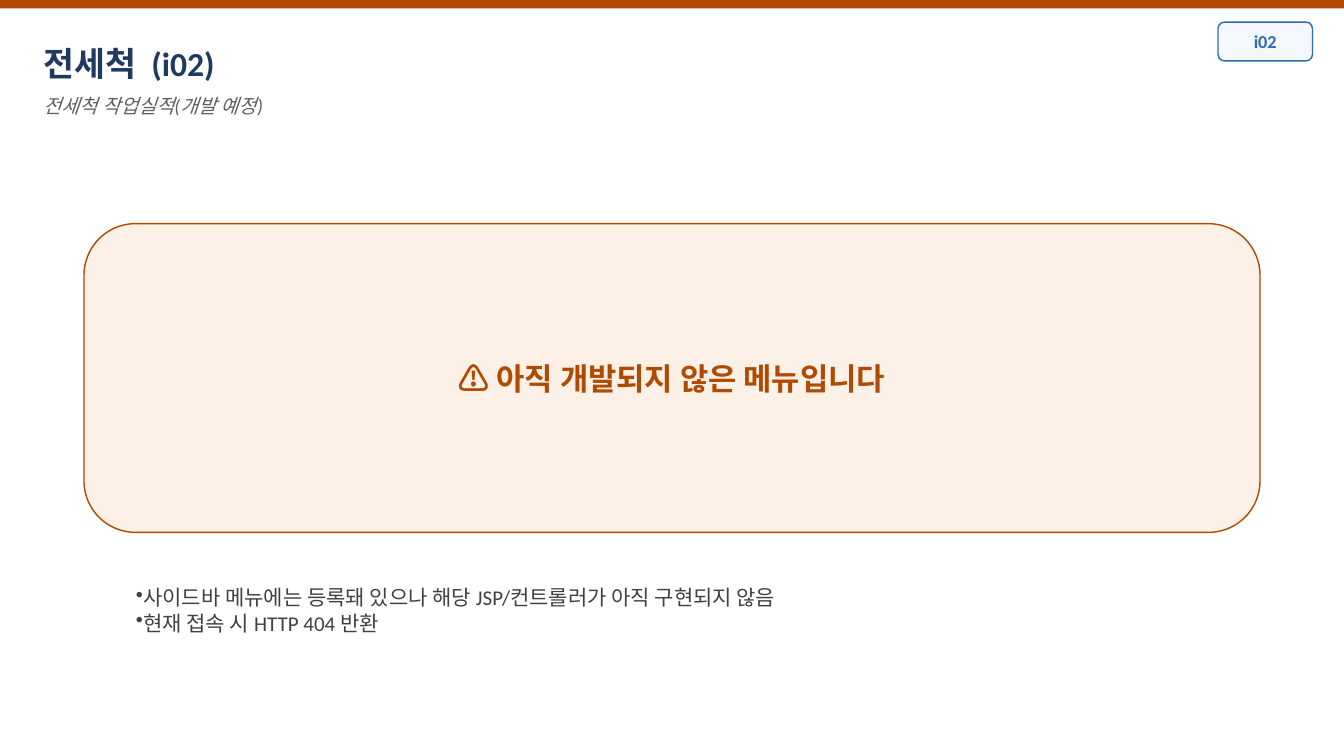
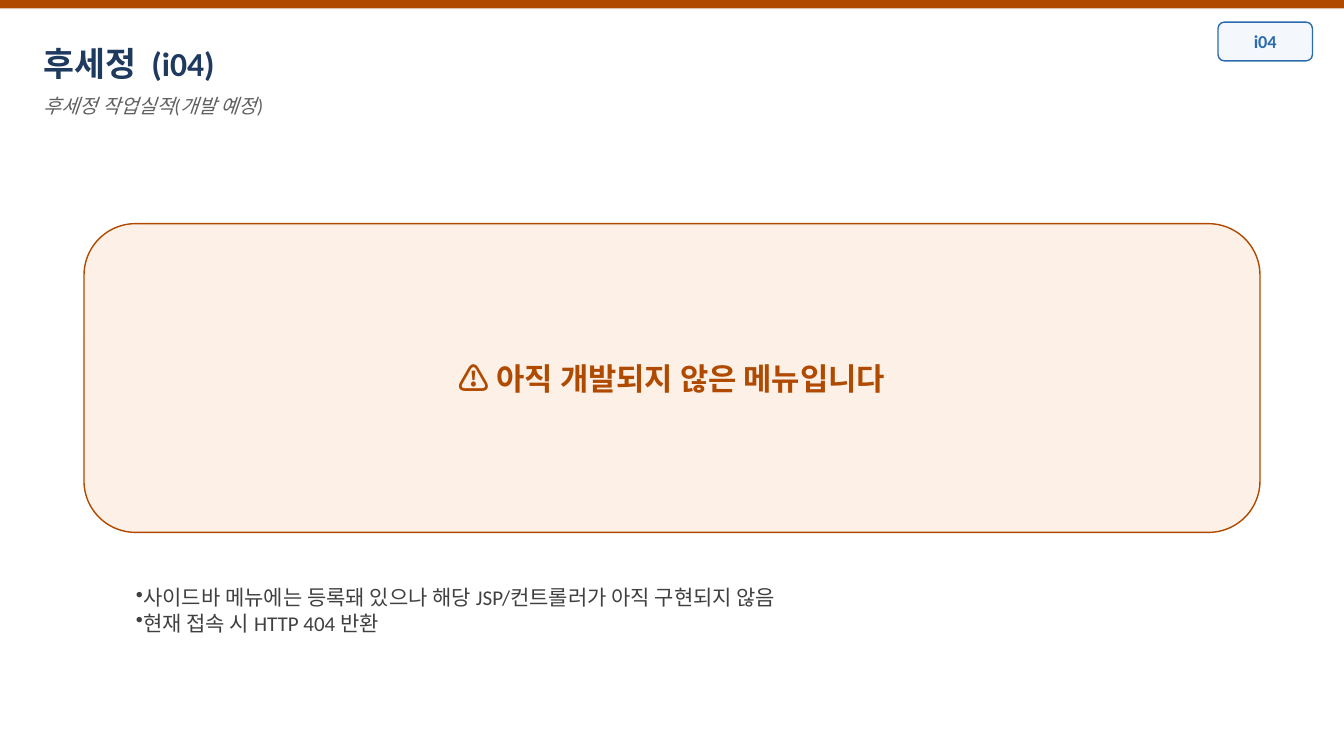
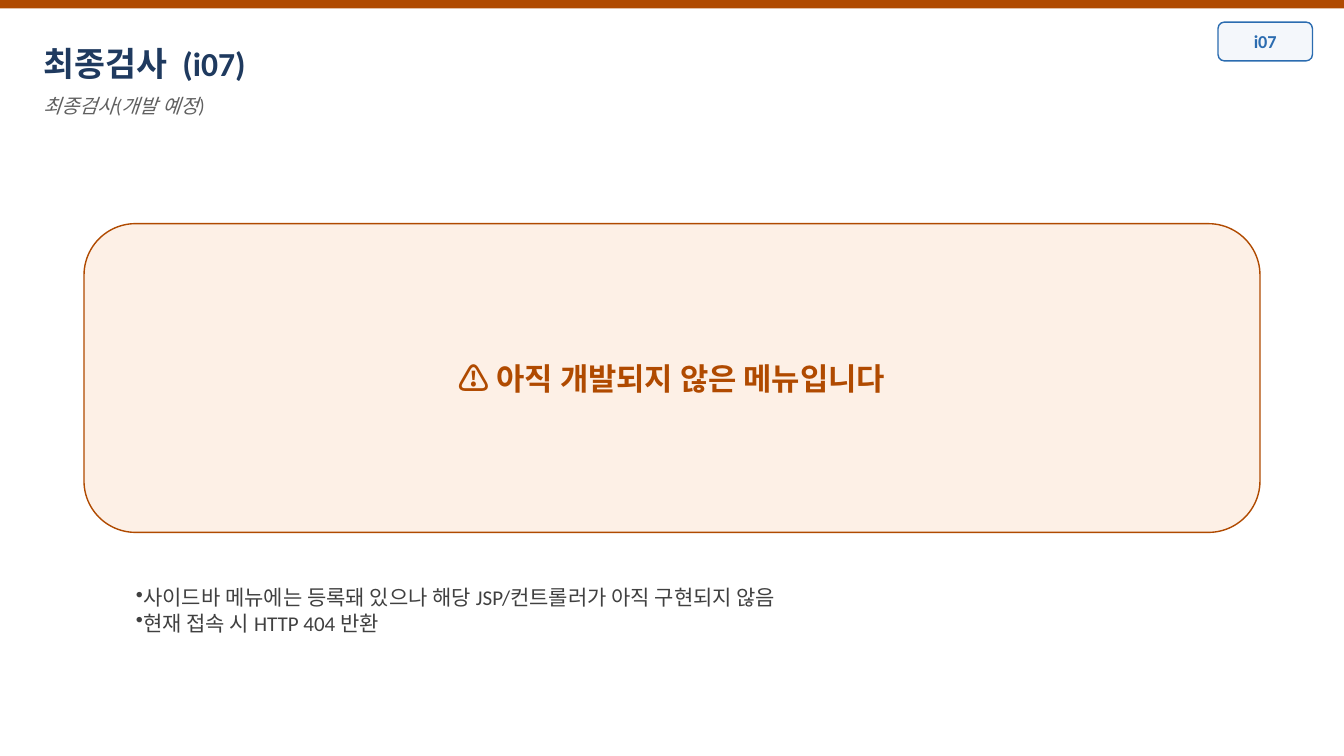
from lxml.etree import SubElement
from pptx import Presentation
from pptx.dml.color import RGBColor
from pptx.enum.shapes import MSO_SHAPE
from pptx.enum.text import MSO_ANCHOR, PP_ALIGN
from pptx.oxml.ns import qn
from pptx.util import Emu, Pt

EMU_PER_PX = 9525
WIDTH, HEIGHT = 1280, 720
FONT = "Calibri"
ACCENT, ACCENT_PALE = "B04A00", "FDF0E6"
NAVY, BLUE, BLUE_PALE = "1F3A5F", "2B6CB0", "F4F7FB"
SUBTITLE_GRAY, BODY_GRAY = "606060", "404040"
TEXT_TOP_INSET = 23
TITLE_GAP = 540  # extra width after the space, in hundredths of a point

NOTICE = "⚠ 아직 개발되지 않은 메뉴입니다"
DETAILS = [
    "사이드바 메뉴에는 등록돼 있으나 해당 JSP/컨트롤러가 아직 구현되지 않음",
    "현재 접속 시 HTTP 404 반환",
]
MENUS = [
    ("전세척", "i02", "전세척 작업실적(개발 예정)"),
    ("후세정", "i04", "후세정 작업실적(개발 예정)"),
    ("최종검사", "i07", "최종검사(개발 예정)"),
]


def px(length):
    return Emu(length * EMU_PER_PX)


def color(hex_string):
    return RGBColor.from_string(hex_string)


def format_run(run, size, hex_string, bold=False, italic=False):
    font = run.font
    font.name, font.size = FONT, Pt(size)
    font.bold, font.italic = bold, italic
    font.color.rgb = color(hex_string)


def add_shape(slide, kind, box, fill, line=None):
    shape = slide.shapes.add_shape(kind, *map(px, box))
    shape.shadow.inherit = False
    shape.fill.solid()
    shape.fill.fore_color.rgb = color(fill)
    if line:
        shape.line.color.rgb = color(line)
        shape.line.width = Pt(1)
    else:
        shape.line.fill.background()
    return shape


def add_label(slide, box, text, size, fill, ink):
    """Rounded box whose outline and centred bold text share one colour."""
    shape = add_shape(slide, MSO_SHAPE.ROUNDED_RECTANGLE, box, fill, ink)
    text_frame = shape.text_frame
    text_frame.text = text
    text_frame.vertical_anchor = MSO_ANCHOR.MIDDLE
    paragraph = text_frame.paragraphs[0]
    paragraph.alignment = PP_ALIGN.CENTER
    format_run(paragraph.runs[0], size, ink, bold=True)


def add_text_frame(slide, box):
    text_frame = slide.shapes.add_textbox(*map(px, box)).text_frame
    text_frame.word_wrap = True
    text_frame.margin_top = px(TEXT_TOP_INSET)
    return text_frame


def add_bullet(paragraph):
    properties = paragraph._p.get_or_add_pPr()
    properties.set("marL", str(px(27)))
    properties.set("indent", str(px(13)))
    SubElement(properties, qn("a:buChar")).set("char", "•")


def add_header(slide, box, name, code, subtitle):
    left, top, width, _ = box
    add_shape(slide, MSO_SHAPE.RECTANGLE, (left, top, width, 8), ACCENT)

    title = add_text_frame(slide, (left + 32, top + 18, width - 187, 48)).paragraphs[0]
    for text in (name, " ", f"({code})"):
        run = title.add_run()
        run.text = text
        format_run(run, 24, NAVY, bold=True)
    title.runs[1].font._element.set("spc", str(TITLE_GAP))

    add_label(slide, (left + width - 120, top + 21, 90, 37), code, 13, BLUE_PALE, BLUE)

    subtitle_frame = add_text_frame(slide, (left + 32, top + 66, width - 80, 32))
    subtitle_frame.text = subtitle
    format_run(subtitle_frame.paragraphs[0].runs[0], 14, SUBTITLE_GRAY, italic=True)


def add_notice(slide, box):
    left, top, width, _ = box
    add_label(slide, (left, top, width, 294), NOTICE, 22, ACCENT_PALE, ACCENT)
    text_frame = add_text_frame(slide, (left, top + 321, width, 133))
    text_frame.text = "\n".join(DETAILS)
    for paragraph in text_frame.paragraphs:
        add_bullet(paragraph)
        format_run(paragraph.runs[0], 15, BODY_GRAY)


def main():
    presentation = Presentation()
    presentation.slide_width, presentation.slide_height = px(WIDTH), px(HEIGHT)
    for name, code, subtitle in MENUS:
        slide = presentation.slides.add_slide(presentation.slide_layouts[6])
        add_header(slide, (0, 0, WIDTH, 98), name, code, subtitle)
        add_notice(slide, (80, 213, WIDTH - 160, 454))
    presentation.save("out.pptx")


if __name__ == "__main__":
    main()
